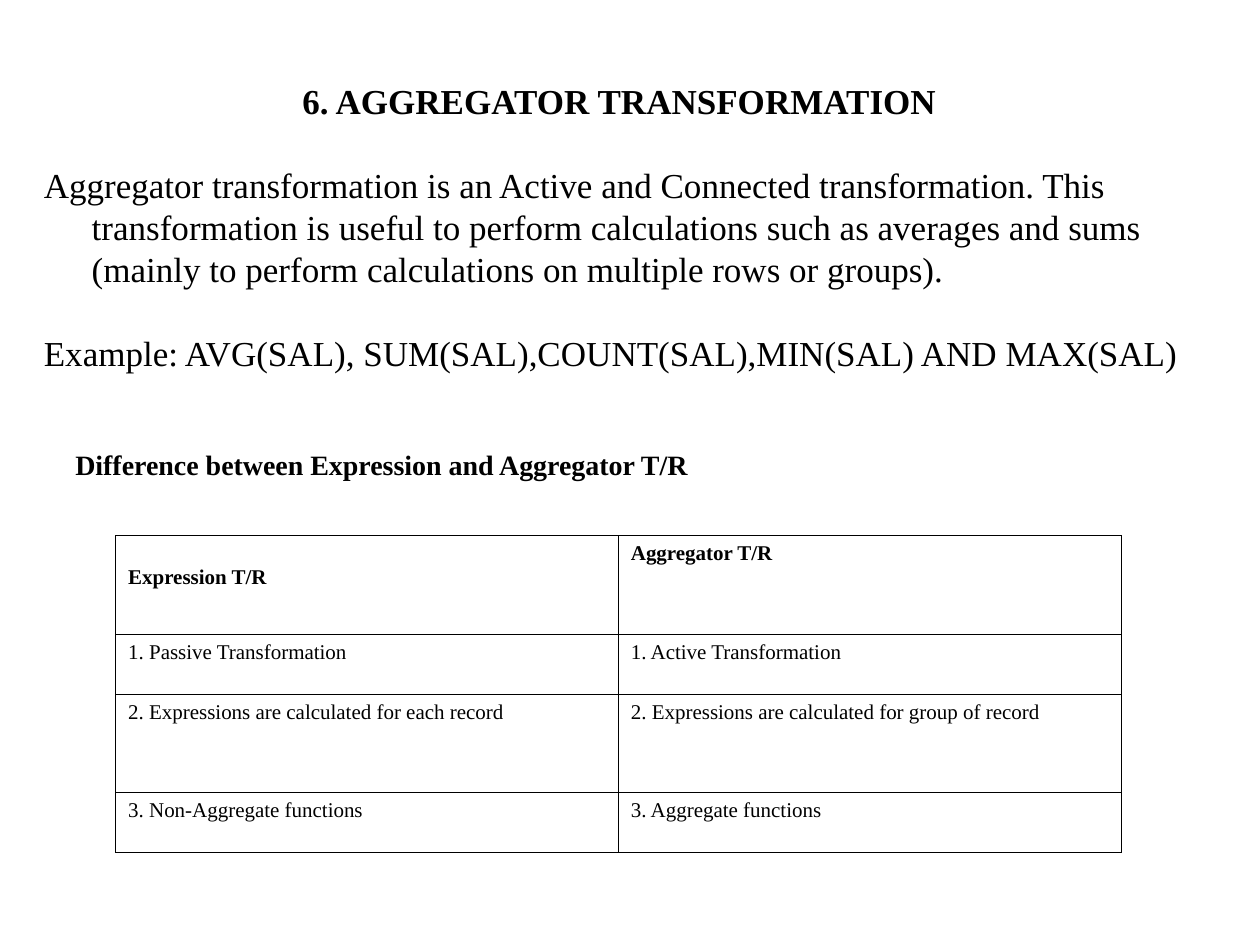
"""Build the Aggregator Transformation slide with its comparison table."""
from lxml.etree import SubElement
from pptx import Presentation
from pptx.dml.color import RGBColor as RGB
from pptx.enum.text import MSO_ANCHOR as ANCHOR, MSO_AUTO_SIZE as FIT, PP_ALIGN as ALIGN
from pptx.oxml.ns import qn
from pptx.util import Inches, Pt

THEME = {
    "font": "Times New Roman", "ink": RGB(0, 0, 0), "paper": RGB(255, 255, 255),
    "body": 20, "subhead": 16, "cell": 12, "border": 0.45, "leading": 1.2,
}
INSETS = {"margin_left": Inches(0.1), "margin_right": Inches(0.1),
          "margin_top": Inches(0.05), "margin_bottom": Inches(0.05)}

prs = Presentation()
prs.slide_width, prs.slide_height = Inches(10), Inches(7.5)
COL, ROW = prs.slide_width / 40, prs.slide_height / 30


def write(p, text, size, bold=False, align=ALIGN.LEFT):
    p.alignment = align
    r = p.add_run()
    r.text = text
    look = {"name": THEME["font"], "size": Pt(size), "bold": bold}
    for key, value in look.items():
        setattr(r.font, key, value)
    r.font.color.rgb = THEME["ink"]


def frame(sp, left, top, width, height):
    sp.left, sp.width = int(left * COL), int(width * COL)
    sp.top, sp.height = int(top * ROW), int(height * ROW)
    tf = sp.text_frame
    layout = {**INSETS, "word_wrap": True, "auto_size": FIT.NONE, "vertical_anchor": ANCHOR.TOP}
    for key, value in layout.items():
        setattr(tf, key, value)
    return tf


s = prs.slides.add_slide(prs.slide_layouts[5])
s.background.fill.solid()
s.background.fill.fore_color.rgb = THEME["paper"]

tf = frame(s.shapes.title, 1, 2.33, 37.32, 1.73)
p = tf.paragraphs[0]
p.line_spacing = Pt(THEME["body"] * THEME["leading"])
write(p, "6. AGGREGATOR TRANSFORMATION", THEME["body"], True, ALIGN.CENTER)

tf = frame(s.shapes.add_textbox(0, 0, 0, 0), 1, 5, 37.32, 8.4)
paragraphs = [
    "Aggregator transformation is an Active and Connected transformation. This transformation "
    "is useful to perform calculations such as averages and sums (mainly to perform "
    "calculations on multiple rows or groups).",
    "Example: AVG(SAL), SUM(SAL),COUNT(SAL),MIN(SAL) AND MAX(SAL)",
]
for i, text in enumerate(paragraphs):
    p = tf.add_paragraph() if i else tf.paragraphs[0]
    pPr = p._p.get_or_add_pPr()
    pPr.set("marL", str(Inches(0.38)))
    pPr.set("indent", str(-Inches(0.38)))
    p.line_spacing = Pt(THEME["body"] * THEME["leading"])
    if i:
        p.space_before = p.line_spacing
    write(p, text, THEME["body"])

tf = frame(s.shapes.add_textbox(0, 0, 0, 0), 2, 14, 27.32, 1.48)
p = tf.paragraphs[0]
p.line_spacing = Pt(THEME["subhead"] * THEME["leading"])
write(p, "Difference between Expression and Aggregator T/R", THEME["subhead"], True)

rows = [
    ("Expression T/R", "Aggregator T/R"),
    ("1. Passive Transformation", "1. Active Transformation"),
    ("2. Expressions are calculated for each record",
     "2. Expressions are calculated for group of record"),
    ("3. Non-Aggregate functions", "3. Aggregate functions"),
]
heights = [3.15, 1.89, 3.13, 1.89]
table = s.shapes.add_table(len(rows), 2, int(3.67 * COL), int(17 * ROW),
                           int(31.92 * COL), int(sum(heights) * ROW)).table
table.first_row = table.horz_banding = False
for i, (height, texts) in enumerate(zip(heights, rows)):
    table.rows[i].height = int(height * ROW)
    for j, text in enumerate(texts):
        cell = table.cell(i, j)
        for key, value in INSETS.items():
            setattr(cell, key, value)
        write(cell.text_frame.paragraphs[0], text, THEME["cell"], i == 0, ALIGN.JUSTIFY)
        tcPr = cell._tc.get_or_add_tcPr()
        for side in ("a:lnL", "a:lnR", "a:lnT", "a:lnB"):
            ln = SubElement(tcPr, qn(side), w=str(Pt(THEME["border"])))
            fill = SubElement(ln, qn("a:solidFill"))
            SubElement(fill, qn("a:srgbClr"), val=str(THEME["ink"]))
        cell.fill.background()
table.cell(0, 0).margin_top = Inches(0.24)

prs.save("out.pptx")
